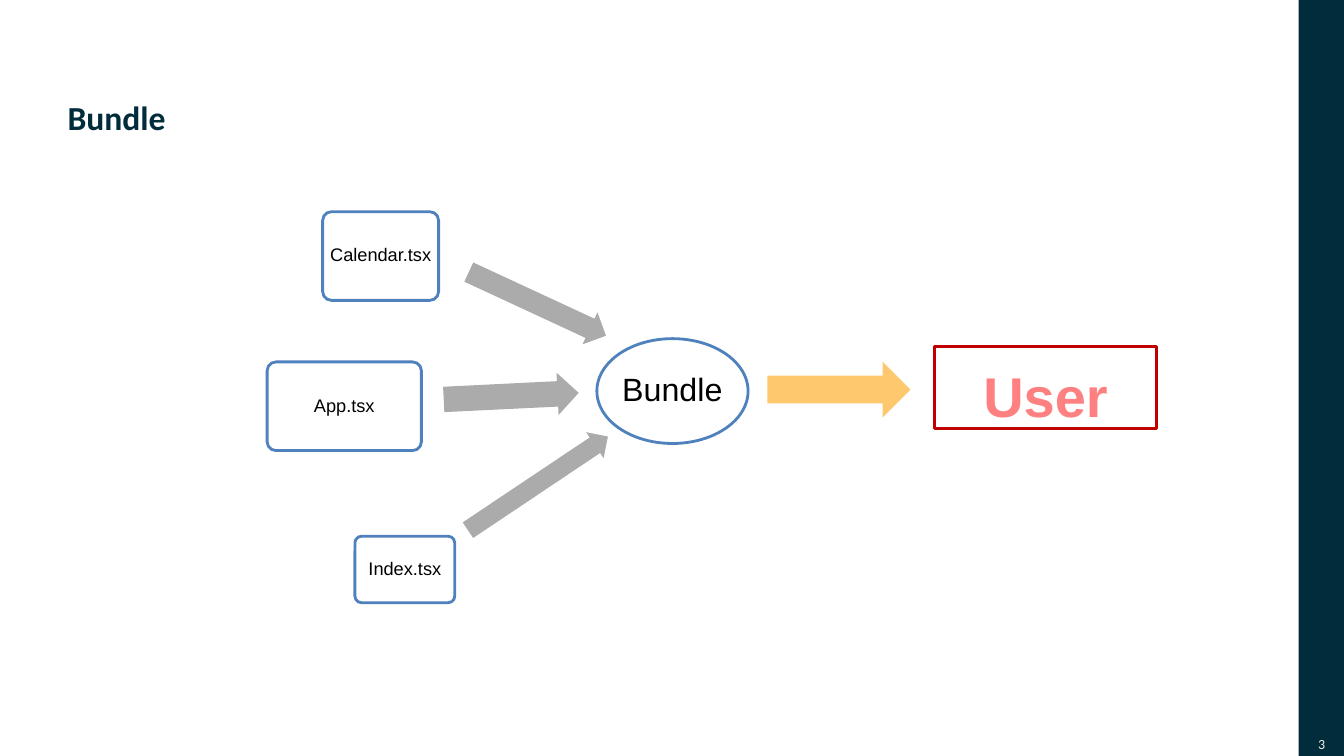
from pptx import Presentation, util as u
from pptx.dml.color import RGBColor
from pptx.enum import shapes, text

KIND = shapes.MSO_SHAPE
ALIGN = text.PP_ALIGN
ANCHOR = text.MSO_ANCHOR
SCALE = 9144
NAVY, BLUE, GREY, WHITE = "012C3C", "4F81BD", "ABABAB", "FFFFFF"


def color(code):
    return RGBColor.from_string(code)


def assign(target, values):
    for name, value in values.items():
        setattr(target, name, value)


class Deck:
    """Holds the shared style and the current slide, with lengths in px."""

    def __init__(self, wide, high):
        self.show = Presentation()
        assign(self.show, {"slide_width": wide * SCALE, "slide_height": high * SCALE})
        self.slide = self.show.slides.add_slide(self.show.slide_layouts[5])

    def place(self, box):
        return [n * SCALE for n in box]

    def label(self, shape, words, size, ink="000000", font="Arial", bold=False,
              align=ALIGN.CENTER, anchor=ANCHOR.MIDDLE, inset=(3, 3),
              wrap=False, gap=0.9, before=0):
        frame = shape.text_frame
        side, top = (n * SCALE for n in inset)
        assign(frame, {"text": words, "word_wrap": wrap, "vertical_anchor": anchor,
                       "auto_size": text.MSO_AUTO_SIZE.NONE,
                       "margin_left": side, "margin_right": side,
                       "margin_top": top, "margin_bottom": top})
        para = frame.paragraphs[0]
        assign(para, {"alignment": align, "line_spacing": gap,
                      "space_before": u.Pt(before)})
        face = para.runs[0].font
        assign(face, {"name": font, "size": u.Pt(size), "bold": bold})
        face.color.rgb = color(ink)

    def title(self, box, words):
        shape = self.slide.shapes.title
        names = ("left", "top", "width", "height")
        assign(shape, dict(zip(names, self.place(box))))
        self.label(shape, words, 24, NAVY, "Calibri", True, ALIGN.LEFT,
                   ANCHOR.TOP, (0, 0), True, 1.1, 3)

    def shape(self, kind, box, fill, edge=None):
        shape = self.slide.shapes.add_shape(kind, *self.place(box))
        shape.shadow.inherit = False
        shape.fill.solid()
        shape.fill.fore_color.rgb = color(fill)
        if edge:
            shape.line.color.rgb = color(edge)
            shape.line.width = u.Pt(2)
        else:
            shape.line.fill.background()
        return shape

    def node(self, kind, box, words, size):
        shape = self.shape(kind, box, WHITE, BLUE)
        if kind == KIND.ROUNDED_RECTANGLE:
            shape.adjustments[0] = 0.1
        self.label(shape, words, size)

    def arrow(self, box, turn):
        shape = self.shape(KIND.LEFT_ARROW, box, GREY)
        shape.adjustments[0], shape.adjustments[1] = 0.6, 0.5
        shape.rotation = turn

    def number(self, box, words):
        shape = self.slide.shapes.add_textbox(*self.place(box))
        self.label(shape, words, 10, "EEECE1", "Calibri", anchor=ANCHOR.TOP,
                   inset=(10, 5), wrap=True, gap=1.15, before=3)


def main():
    deck = Deck(1333, 750)
    deck.shape(KIND.RECTANGLE, (1288, 0, 46, 750), NAVY)
    deck.number((1288, 722, 46, 28), "3")
    deck.title((67, 92, 1167, 42), "Bundle")
    deck.node(KIND.OVAL, (592, 336, 150, 104), "Bundle", 23)
    files = [
        ("Index.tsx", (352, 532, 99, 66), (450, 464, 167, 31), 146.2),
        ("App.tsx", (265, 359, 153, 88), (440, 372, 134, 42), 177.2),
        ("Calendar.tsx", (320, 210, 115, 88), (458, 284, 150, 35), 204.9),
    ]
    for name, box, link, turn in files:
        deck.arrow(link, turn)
        deck.node(KIND.ROUNDED_RECTANGLE, box, name, 13)
    deck.shape(KIND.RIGHT_ARROW, (761, 359, 142, 55), "FEC86E")
    user = deck.shape(KIND.RECTANGLE, (927, 344, 220, 81), WHITE, "C00000")
    deck.label(user, "User", 40, "FF8080", bold=True, anchor=ANCHOR.TOP,
               inset=(10, 5), wrap=True, gap=1.15, before=12)
    deck.show.save("out.pptx")


if __name__ == "__main__":
    main()
